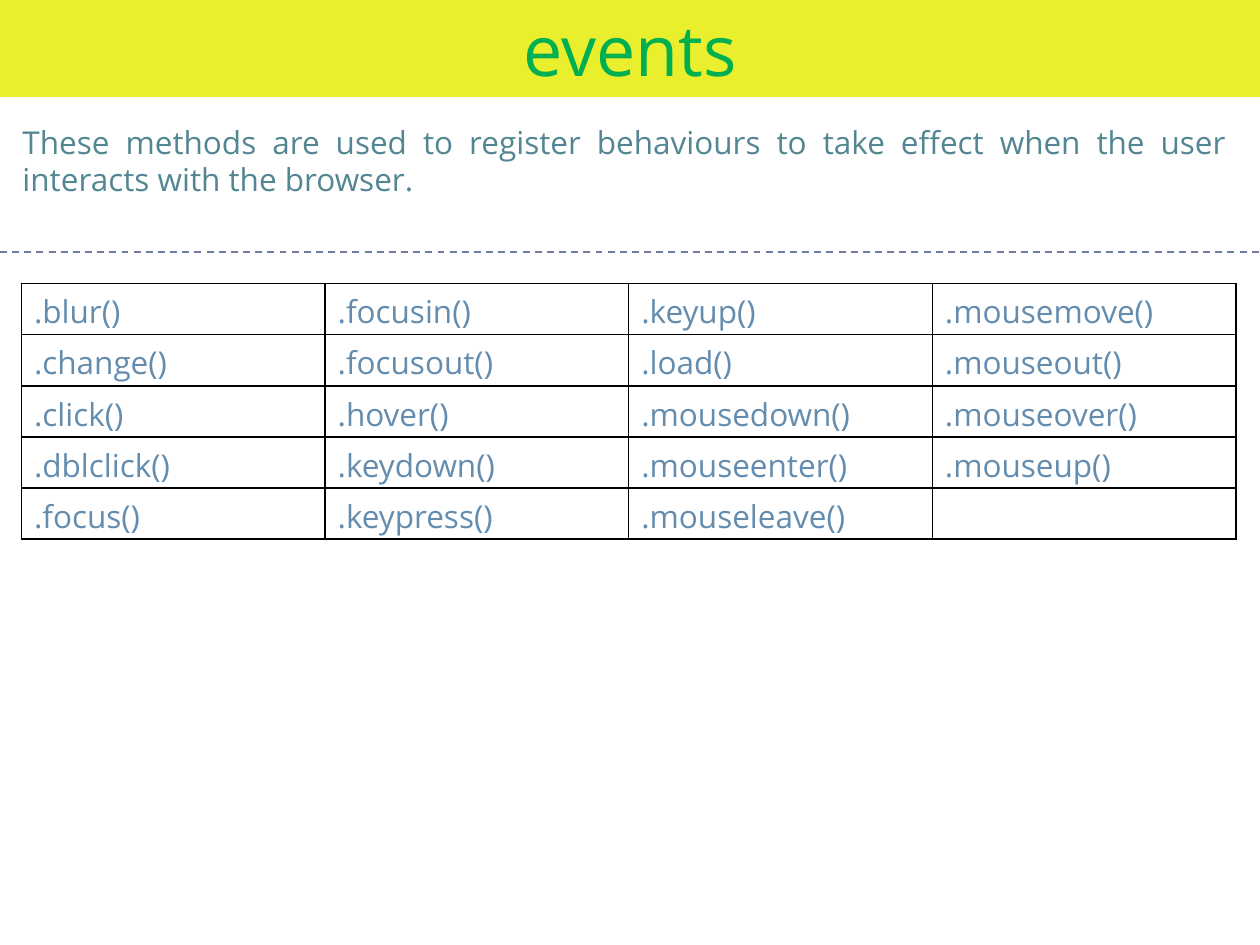
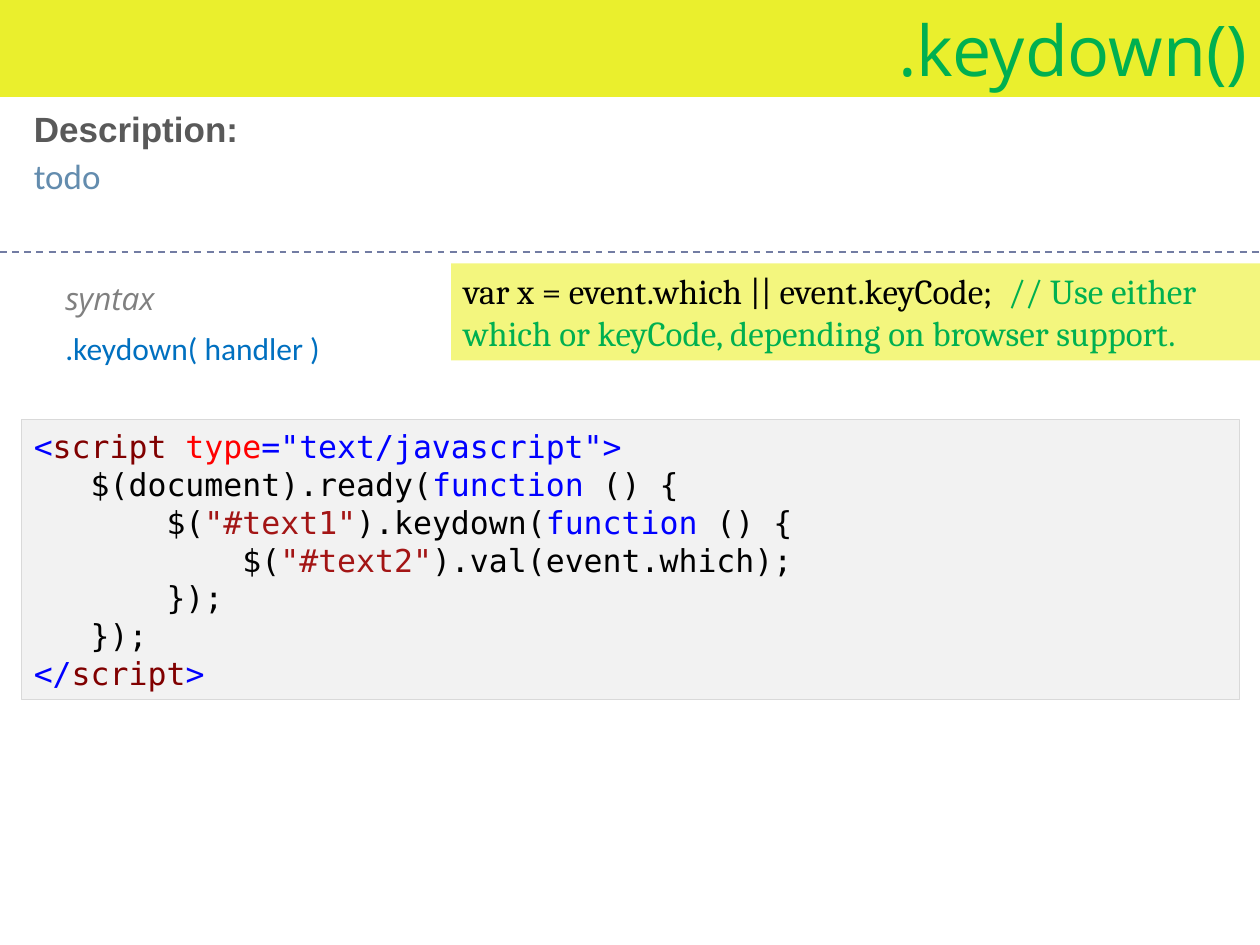
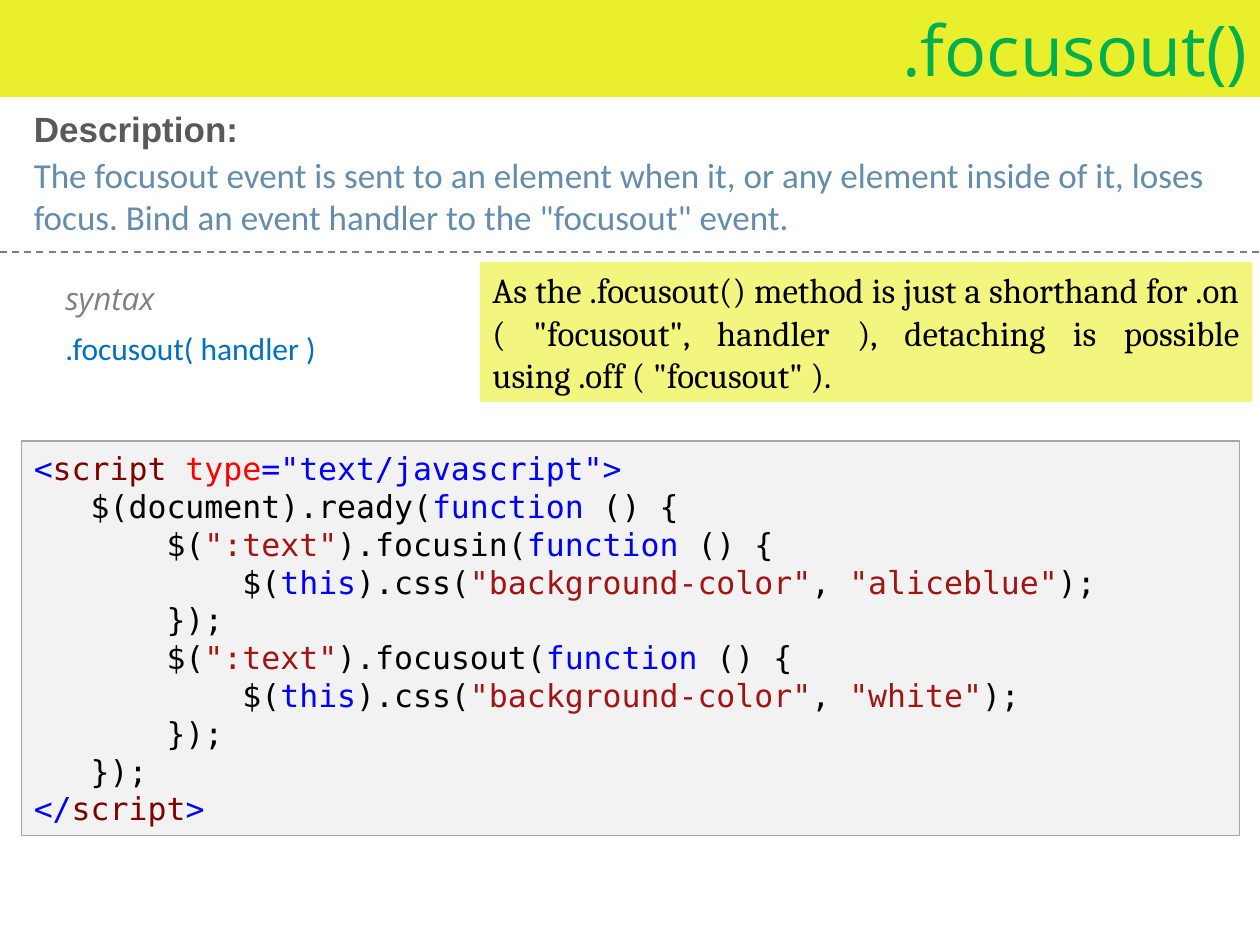
from dataclasses import dataclass

from lxml import etree
from pptx import Presentation
from pptx import util as u
from pptx.dml.color import RGBColor
from pptx.enum import dml, shapes, text
from pptx.oxml import ns


@dataclass(frozen=True)
class Theme:
    band: str = "EAEF2D"
    note: str = "F3F67E"
    code_fill: str = "F2F2F2"
    divider: str = "727CA3"
    grid: str = "000000"
    title_style = dict(name="Open Sans", size=40, color="00B050")
    intro_style = dict(name="Open Sans", size=18, color="528693")
    cell_style = dict(name="Open Sans", size=18, color="638CAE")
    heading_style = dict(name="Arial", size=20, color="595959", bold=True)
    description_style = dict(name="Calibri", size=20, color="638CAE")
    label_style = dict(name="Open Sans", size=18, color="808080", italic=True)
    syntax_style = dict(name="Calibri", size=18, color="0070C0")
    note_style = dict(name="Cambria", size=20, color="000000")
    comment_style = dict(name="Cambria", size=20, color="00B050")
    code_style = dict(name="DejaVu Sans Mono", size=18)
    plain: str = "000000"
    keyword: str = "0000FF"
    tag: str = "800000"
    attribute: str = "FF0000"
    string: str = "A31515"


THEME = Theme()
ALIGN = text.PP_ALIGN
SLIDE_WIDTH, SLIDE_HEIGHT = 10, 7.5

EVENTS = [
    [".blur()", ".focusin()", ".keyup()", ".mousemove()"],
    [".change()", ".focusout()", ".load()", ".mouseout()"],
    [".click()", ".hover()", ".mousedown()", ".mouseover()"],
    [".dblclick()", ".keydown()", ".mouseenter()", ".mouseup()"],
    [".focus()", ".keypress()", ".mouseleave()", ""],
]


def add_span(para, words, style):
    span = para.add_run()
    span.text = words
    for key, value in style.items():
        if key == "color":
            span.font.color.rgb = RGBColor.from_string(value)
        else:
            setattr(span.font, key, u.Pt(value) if key == "size" else value)


def write(frame, paragraphs, align=ALIGN.LEFT, spacing=None):
    """Fill a text frame; each paragraph is a list of (words, style) pairs."""
    settings = dict(word_wrap=True, auto_size=text.MSO_AUTO_SIZE.NONE,
                    vertical_anchor=text.MSO_ANCHOR.MIDDLE)
    for key, value in settings.items():
        setattr(frame, key, value)
    for index, spans in enumerate(paragraphs):
        para = frame.add_paragraph() if index else frame.paragraphs[0]
        para.alignment = align
        if spacing:
            para.line_spacing = u.Pt(spacing)
        for words, style in spans:
            add_span(para, words, style)


def add_text(page, box, words, style, **layout):
    label = page.shapes.add_textbox(*map(u.Inches, box))
    write(label.text_frame, [[(words, style)]], **layout)


def add_panel(page, box, fill, paragraphs, align=ALIGN.LEFT, outline=None):
    panel = page.shapes.add_shape(shapes.MSO_SHAPE.RECTANGLE, *map(u.Inches, box))
    panel.shadow.inherit = False
    panel.fill.solid()
    panel.fill.fore_color.rgb = RGBColor.from_string(fill)
    if outline:
        panel.line.color.rgb = RGBColor.from_string(outline)
        panel.line.width = u.Pt(0.75)
    else:
        panel.line.fill.background()
    write(panel.text_frame, paragraphs, align)


def add_divider(page, top):
    line = page.shapes.add_connector(
        shapes.MSO_CONNECTOR.STRAIGHT, 0, u.Inches(top), u.Inches(SLIDE_WIDTH), u.Inches(top))
    line.line.color.rgb = RGBColor.from_string(THEME.divider)
    line.line.width = u.Pt(1)
    line.line.dash_style = dml.MSO_LINE.DASH
    etree.SubElement(line._element.spPr, ns.qn("a:effectLst"))


def add_page(deck, title, align):
    """Add a blank page with the title band and the dashed divider."""
    page = deck.slides.add_slide(deck.slide_layouts[6])
    add_divider(page, 2)
    add_panel(page, (0, 0, SLIDE_WIDTH, 0.77), THEME.band,
              [[(title, THEME.title_style)]], align)
    return page


def set_borders(cell):
    properties = cell._tc.get_or_add_tcPr()
    for index, side in enumerate(("lnL", "lnR", "lnT", "lnB")):
        border = etree.Element(ns.qn(f"a:{side}"), w=str(u.Pt(1)))
        fill = etree.SubElement(border, ns.qn("a:solidFill"))
        etree.SubElement(fill, ns.qn("a:srgbClr"), val=THEME.grid)
        properties.insert(index, border)


def add_event_table(page, box, rows):
    table = page.shapes.add_table(len(rows), len(rows[0]), *map(u.Inches, box)).table
    for flag in ("first_row", "horz_banding"):
        setattr(table, flag, False)
    layout = dict(vertical_anchor=text.MSO_ANCHOR.MIDDLE,
                  margin_top=u.Inches(0.05), margin_bottom=u.Inches(0.01))
    for row, names in zip(table.rows, rows):
        row.height = u.Inches(box[3] / len(rows))
        for cell, name in zip(row.cells, names):
            cell.fill.background()
            for key, value in layout.items():
                setattr(cell, key, value)
            if name:
                add_span(cell.text_frame.paragraphs[0], name, THEME.cell_style)
            set_borders(cell)


def add_description(page, box, words):
    left, top, width, height = box
    heading_height = 0.37
    add_text(page, (left, top + heading_height, width, height - heading_height),
             words, THEME.description_style)
    add_text(page, (left, top, width, 0.44), "Description:", THEME.heading_style)


def add_syntax(page, box, call):
    left, top, width, height = box
    step = height / 2
    for index, (words, style) in enumerate(
            [("syntax", THEME.label_style), (call, THEME.syntax_style)]):
        add_text(page, (left, top + index * step, width, step), words, style)


def plain(words):
    return words, THEME.plain


def keyword(words):
    return words, THEME.keyword


def string(words):
    return words, THEME.string


def handler(selector, event, body):
    """Lines of code that bind one event handler."""
    return [
        [plain("       $("), string(selector), plain(f").{event}("),
         keyword("function"), plain(" () {")],
        [plain("           $("), *body],
        [plain("       });")],
    ]


def set_background(color):
    return [keyword("this"), plain(").css("), string('"background-color"'),
            plain(", "), string(f'"{color}"'), plain(");")]


def add_code(page, box, handlers, outline):
    """Show handlers inside a script element and a document-ready call."""
    lines = [
        [keyword("<"), ("script ", THEME.tag), ("type", THEME.attribute),
         keyword('="text/javascript">')],
        [plain("   $(document).ready("), keyword("function"), plain(" () {")],
        *handlers,
        [plain("   });")],
        [keyword("</"), ("script", THEME.tag), keyword(">")],
    ]
    paragraphs = [[(words, dict(THEME.code_style, color=color)) for words, color in line]
                  for line in lines]
    add_panel(page, box, THEME.code_fill, paragraphs, outline=outline)


def add_overview_page(deck):
    page = add_page(deck, "events", ALIGN.CENTER)
    add_event_table(page, (0.17, 2.25, 9.64, 2.03), EVENTS)
    add_text(page, (0.08, 0.92, 9.75, 0.71),
             "These methods are used to register behaviours to take effect "
             "when the user interacts with the browser.",
             THEME.intro_style, align=ALIGN.JUSTIFY, spacing=21)


def add_method_page(deck, method, description, description_height,
                    note, note_box, note_align, handlers, code_box, code_outline):
    page = add_page(deck, f".{method}()", ALIGN.RIGHT)
    add_description(page, (0.17, 0.8, 9.67, description_height), description)
    add_syntax(page, (0.42, 2.17, 9.17, 0.79), f".{method}( handler )")
    add_panel(page, note_box, THEME.note, [note], note_align)
    add_code(page, code_box, handlers, code_outline)


def main():
    deck = Presentation()
    deck.slide_width, deck.slide_height = u.Inches(SLIDE_WIDTH), u.Inches(SLIDE_HEIGHT)
    add_overview_page(deck)
    add_method_page(
        deck, "keydown", "todo", 0.81,
        note=[("var x = event.which || event.keyCode;  ", THEME.note_style),
              ("// Use either which or keyCode, depending on browser support.",
               THEME.comment_style)],
        note_box=(3.58, 2.09, 6.42, 0.77), note_align=ALIGN.LEFT,
        handlers=handler('"#text1"', "keydown",
                         [string('"#text2"'), plain(").val(event.which);")]),
        code_box=(0.17, 3.33, 9.67, 2.22), code_outline="D9D9D9")
    add_method_page(
        deck, "focusout",
        "The focusout event is sent to an element when it, or any element inside of it, "
        'loses focus. Bind an event handler to the "focusout" event.', 1.14,
        note=[('As the .focusout() method is just a shorthand for .on ( "focusout", handler ), '
               'detaching is possible using .off ( "focusout" ).', THEME.note_style)],
        note_box=(3.81, 2.08, 6.13, 1.11), note_align=ALIGN.JUSTIFY,
        handlers=(handler('":text"', "focusin", set_background("aliceblue"))
                  + handler('":text"', "focusout", set_background("white"))),
        code_box=(0.17, 3.5, 9.67, 3.13), code_outline="A6A6A6")
    deck.save("out.pptx")


if __name__ == "__main__":
    main()
